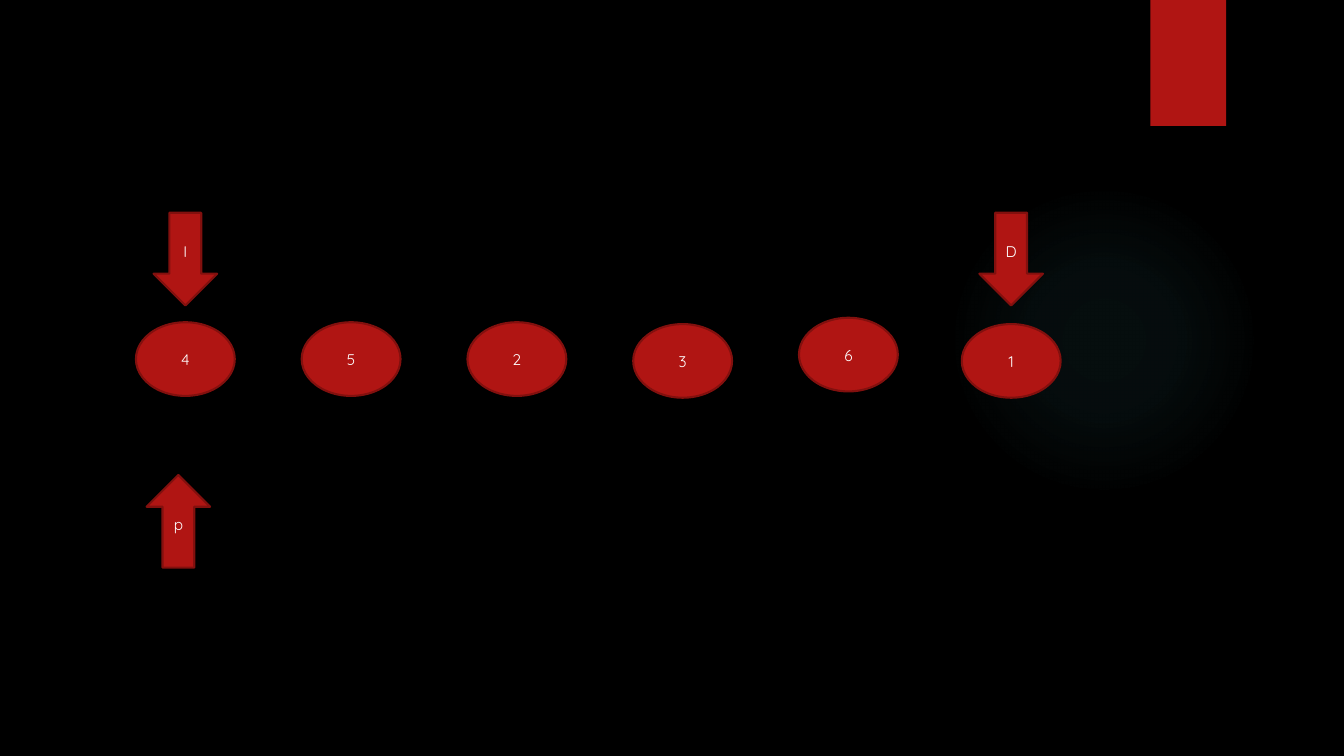
from lxml import etree
from pptx import Presentation
from pptx.dml.color import RGBColor
from pptx.enum.shapes import MSO_SHAPE
from pptx.enum.text import MSO_ANCHOR, PP_ALIGN
from pptx.oxml import parse_xml
from pptx.util import Pt

OVAL = MSO_SHAPE.OVAL
RECTANGLE = MSO_SHAPE.RECTANGLE
DOWN_ARROW = MSO_SHAPE.DOWN_ARROW
CENTER = PP_ALIGN.CENTER
MIDDLE = MSO_ANCHOR.MIDDLE

BLACK = RGBColor(0x00, 0x00, 0x00)
WHITE = RGBColor(0xFF, 0xFF, 0xFF)
RED = RGBColor(0xB0, 0x15, 0x13)
DARK_RED = RGBColor(0x82, 0x10, 0x0E)
TEAL = RGBColor(0x50, 0xB9, 0xC1)

DRAWING_NS = "http://schemas.openxmlformats.org/drawingml/2006/main"
GLOW_STOPS = [(0, 7), (36, 6), (69, 0)]  # position and opacity, percent

NODE_WIDTH, NODE_HEIGHT = 70.6, 52.6
ARROW_WIDTH, ARROW_HEIGHT = 45.4, 66.2
FIRST_LEFT, NODE_PITCH = 97.1, 118.4
LAST_LEFT = 687
NODE_VALUES = "452361"
NODE_TOPS = [230.2, 230.2, 230.2, 231.5, 227, 231.5]
POINTER_TOP, PIVOT_TOP = 152, 339.2
PIVOT_SHIFT = -5

LABEL_FONT = {"name": "Quicksand", "size": Pt(11)}
LABEL_PARAGRAPH = {"alignment": CENTER, "line_spacing": 1.07, "space_after": Pt(8)}


def set_format(target, values):
    """Set each attribute of target from a dict of format values."""
    for attribute, value in values.items():
        setattr(target, attribute, value)


def add_plain(slide, kind, left, top, width, height):
    """Add a red preset shape without outline or shadow."""
    shape = slide.shapes.add_shape(kind, Pt(left), Pt(top), Pt(width), Pt(height))
    shape.shadow.inherit = False
    shape.fill.solid()
    shape.fill.fore_color.rgb = RED
    shape.line.fill.background()
    return shape


def add_labelled(slide, kind, label, left, top, width, height, space_before=0):
    """Add an outlined red shape with a centred white label."""
    shape = add_plain(slide, kind, left, top, width, height)
    shape.line.color.rgb = DARK_RED
    shape.line.width = Pt(1.5)
    frame = shape.text_frame
    set_format(frame, {"word_wrap": True, "vertical_anchor": MIDDLE})
    paragraph = frame.paragraphs[0]
    set_format(paragraph, LABEL_PARAGRAPH | {"space_before": Pt(space_before)})
    run = paragraph.add_run()
    run.text = label
    set_format(run.font, LABEL_FONT)
    run.font.color.rgb = WHITE
    return shape


def add_pointer(slide, label, center, top, rotation=0):
    """Add an index arrow centred on a given x position."""
    arrow = add_labelled(slide, DOWN_ARROW, label, center - ARROW_WIDTH / 2, top,
                         ARROW_WIDTH, ARROW_HEIGHT)
    arrow.rotation = rotation


def add_glow(slide, left, top, diameter):
    """Add a faint circle that fades out towards its edge."""
    glow = add_plain(slide, OVAL, left, top, diameter, diameter)
    stops = "".join(
        f'<a:gs pos="{position * 1000}"><a:srgbClr val="{TEAL}">'
        f'<a:alpha val="{opacity * 1000}"/></a:srgbClr></a:gs>'
        for position, opacity in GLOW_STOPS)
    gradient = parse_xml(
        f'<a:gradFill xmlns:a="{DRAWING_NS}"><a:gsLst>{stops}</a:gsLst>'
        '<a:path path="circle"><a:fillToRect l="50000" t="50000" r="50000" b="50000"/>'
        '</a:path></a:gradFill>')
    properties = glow._element.spPr
    solid = properties.find(etree.QName(DRAWING_NS, "solidFill").text)
    properties.replace(solid, gradient)


def main():
    """Build the array with its left, right and pivot pointers."""
    deck = Presentation()
    set_format(deck, {"slide_width": Pt(960), "slide_height": Pt(540)})
    slide = deck.slides.add_slide(deck.slide_layouts[6])
    slide.background.fill.solid()
    slide.background.fill.fore_color.rgb = BLACK

    add_glow(slide, 677.5, 131.8, 221.8)
    add_plain(slide, RECTANGLE, 821.8, 0, 54, 90)

    node_lefts = [FIRST_LEFT + NODE_PITCH * i for i in range(5)] + [LAST_LEFT]
    for value, left, top in zip(NODE_VALUES, node_lefts, NODE_TOPS):
        add_labelled(slide, OVAL, value, left, top, NODE_WIDTH, NODE_HEIGHT,
                     space_before=10)

    first_center = FIRST_LEFT + NODE_WIDTH / 2
    last_center = LAST_LEFT + NODE_WIDTH / 2
    add_pointer(slide, "I", first_center, POINTER_TOP)
    add_pointer(slide, "d", first_center + PIVOT_SHIFT, PIVOT_TOP, rotation=180)
    add_pointer(slide, "D", last_center, POINTER_TOP)

    deck.save("out.pptx")


main()
